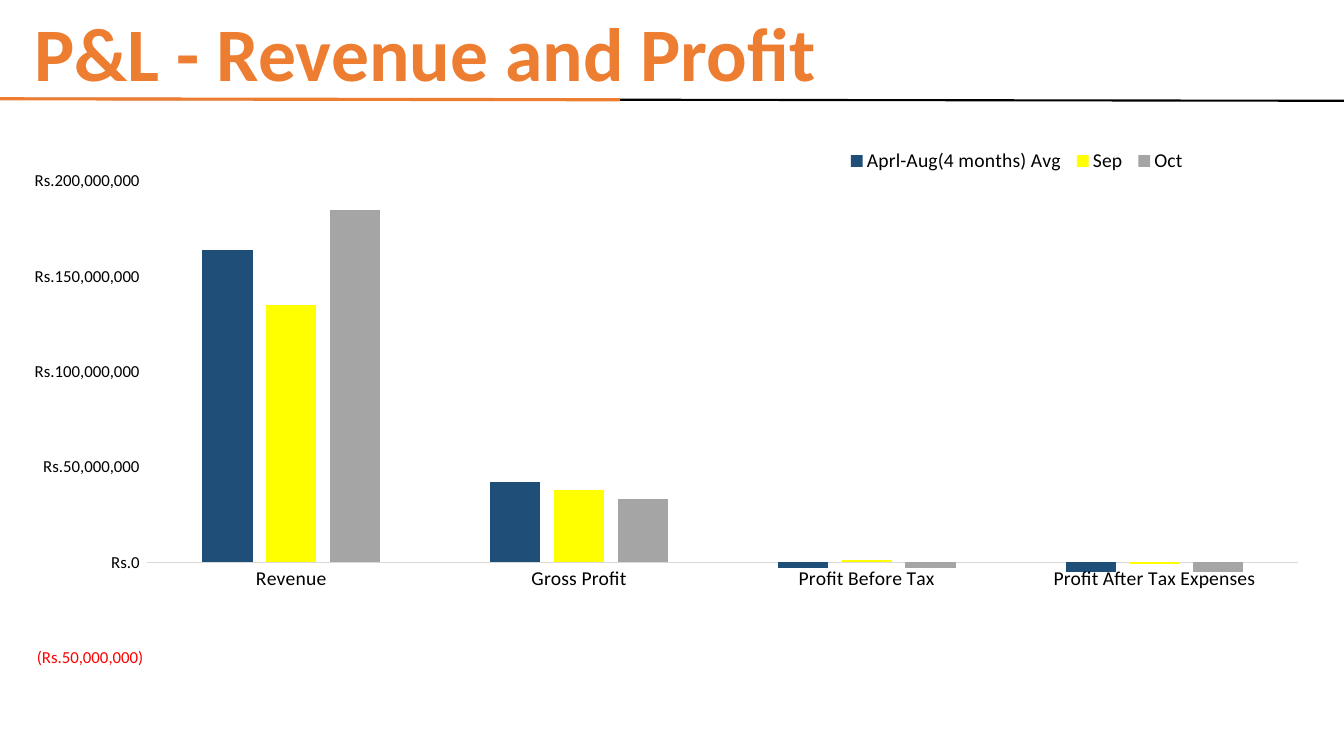
from lxml import etree
from pptx import Presentation
from pptx.chart.data import CategoryChartData
from pptx.dml.color import RGBColor
from pptx.enum.chart import XL_CHART_TYPE, XL_LEGEND_POSITION, XL_TICK_MARK
from pptx.enum.shapes import MSO_CONNECTOR
from pptx.enum.text import MSO_ANCHOR
from pptx.oxml.ns import qn
from pptx.util import Inches, Pt

COLUMNS = XL_CHART_TYPE.COLUMN_CLUSTERED
NO_TICK = XL_TICK_MARK.NONE
LEGEND_BOTTOM = XL_LEGEND_POSITION.BOTTOM
STRAIGHT = MSO_CONNECTOR.STRAIGHT
BOTTOM = MSO_ANCHOR.BOTTOM

FONT = "Calibri"
BLACK, ORANGE, GREY = "000000", "ED7D31", "D9D9D9"
HEADING = "P&L - Revenue and Profit"
RULES = [
    ((-0.02, 0.98), (13.35, 1), BLACK, 1.5),
    ((-0.02, 0.98), (6.15, 0.99), ORANGE, 2.25),
]
MEASURES = ["Revenue", "Gross Profit", "Profit Before Tax", "Profit After Tax Expenses"]
PERIODS = [
    ("Aprl-Aug(4 months) Avg", "1F4E79", (164000000, 42000000, -3000000, -5000000)),
    ("Sep", "FFFF00", (135000000, 38000000, 1000000, -1000000)),
    ("Oct", "A5A5A5", (185000000, 33000000, -3000000, -5000000)),
]
RUPEES = r"[$Rs.-849]#,##0_);[Red]\([$Rs.-849]#,##0\)"
PLOT_AREA = (0.095, 0.104, 0.887, 0.811)
LEGEND_AREA = (0.63, 0.04, 0.27, 0.06)


def rgb(value):
    return RGBColor.from_string(value)


def style(font, size, color=BLACK, bold=False):
    font.name = FONT
    font.size = Pt(size)
    font.bold = bold
    font.color.rgb = rgb(color)


def place(element, index, area, inner=False):
    for old in element.findall(qn("c:layout")):
        element.remove(old)
    layout = etree.Element(qn("c:layout"))
    manual = etree.SubElement(layout, qn("c:manualLayout"))
    settings = [("layoutTarget", "inner")] if inner else []
    settings += [("xMode", "edge"), ("yMode", "edge"), *zip("xywh", area)]
    for tag, value in settings:
        etree.SubElement(manual, qn(f"c:{tag}")).set("val", str(value))
    element.insert(index, layout)


def add_rule(slide, start, end, color, width):
    rule = slide.shapes.add_connector(STRAIGHT, *map(Inches, start + end))
    rule.line.color.rgb = rgb(color)
    rule.line.width = Pt(width)
    etree.SubElement(rule.element.spPr, qn("a:effectLst"))


def add_heading(slide):
    frame = slide.shapes.add_textbox(
        Inches(0.24), Inches(0.11), Inches(10), Inches(0.91)).text_frame
    frame.word_wrap = True
    frame.vertical_anchor = BOTTOM
    paragraph = frame.paragraphs[0]
    paragraph.text = HEADING
    paragraph.line_spacing = 0.9
    style(paragraph.font, 54, ORANGE, True)


def add_profit_chart(slide):
    data = CategoryChartData(number_format=RUPEES)
    data.categories = MEASURES
    for name, _, amounts in PERIODS:
        data.add_series(name, amounts)
    chart = slide.shapes.add_chart(
        COLUMNS, Inches(0.24), Inches(1.19), Inches(12.87), Inches(5.83), data).chart
    chart.has_title = False
    style(chart.font, 10)

    plot = chart.plots[0]
    plot.gap_width = 219
    plot.overlap = -27
    plot.vary_by_categories = False
    for series, (_, color, _) in zip(plot.series, PERIODS):
        series.invert_if_negative = False
        series.format.fill.solid()
        series.format.fill.fore_color.rgb = rgb(color)

    for axis, size in ((chart.category_axis, 14), (chart.value_axis, 12)):
        axis.has_major_gridlines = False
        axis.major_tick_mark = axis.minor_tick_mark = NO_TICK
        style(axis.tick_labels.font, size)
    chart.category_axis.format.line.color.rgb = rgb(GREY)
    chart.category_axis.format.line.width = Pt(0.75)

    amounts_axis = chart.value_axis
    amounts_axis.format.line.fill.background()
    amounts_axis.minimum_scale = -50000000
    amounts_axis.maximum_scale = 200000000
    amounts_axis.major_unit = 50000000
    amounts_axis.tick_labels.number_format = RUPEES
    amounts_axis.tick_labels.number_format_is_linked = False

    chart.has_legend = True
    legend = chart.legend
    legend.position = LEGEND_BOTTOM
    legend.include_in_layout = False
    style(legend.font, 14)
    place(chart.element.find(".//" + qn("c:legend")), 1, LEGEND_AREA)
    place(chart.element.find(".//" + qn("c:plotArea")), 0, PLOT_AREA, True)


def main():
    deck = Presentation()
    deck.slide_width, deck.slide_height = Inches(13.33), Inches(7.5)
    slide = deck.slides.add_slide(deck.slide_layouts[6])
    for rule in RULES:
        add_rule(slide, *rule)
    add_heading(slide)
    add_profit_chart(slide)
    deck.save("out.pptx")


if __name__ == "__main__":
    main()
